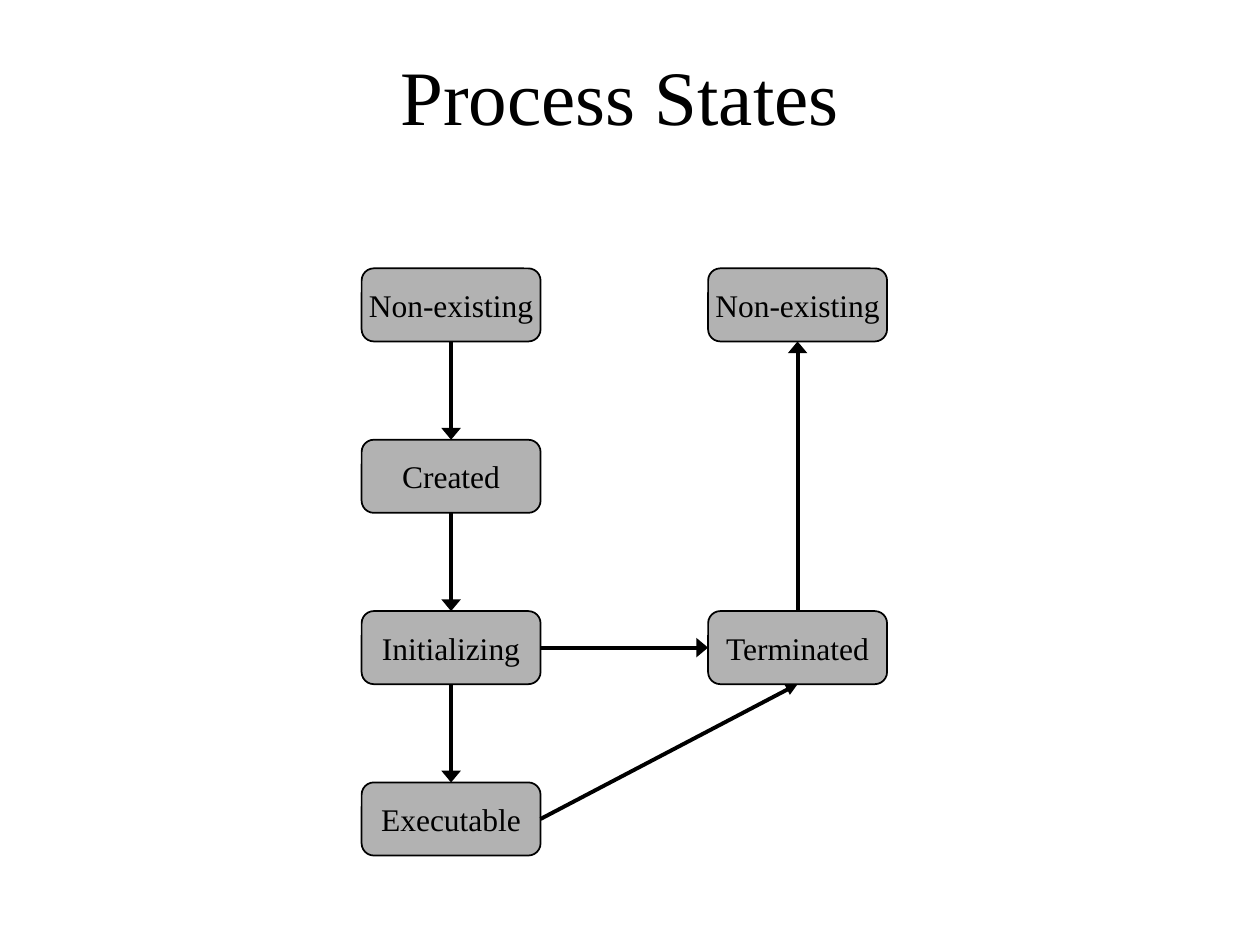
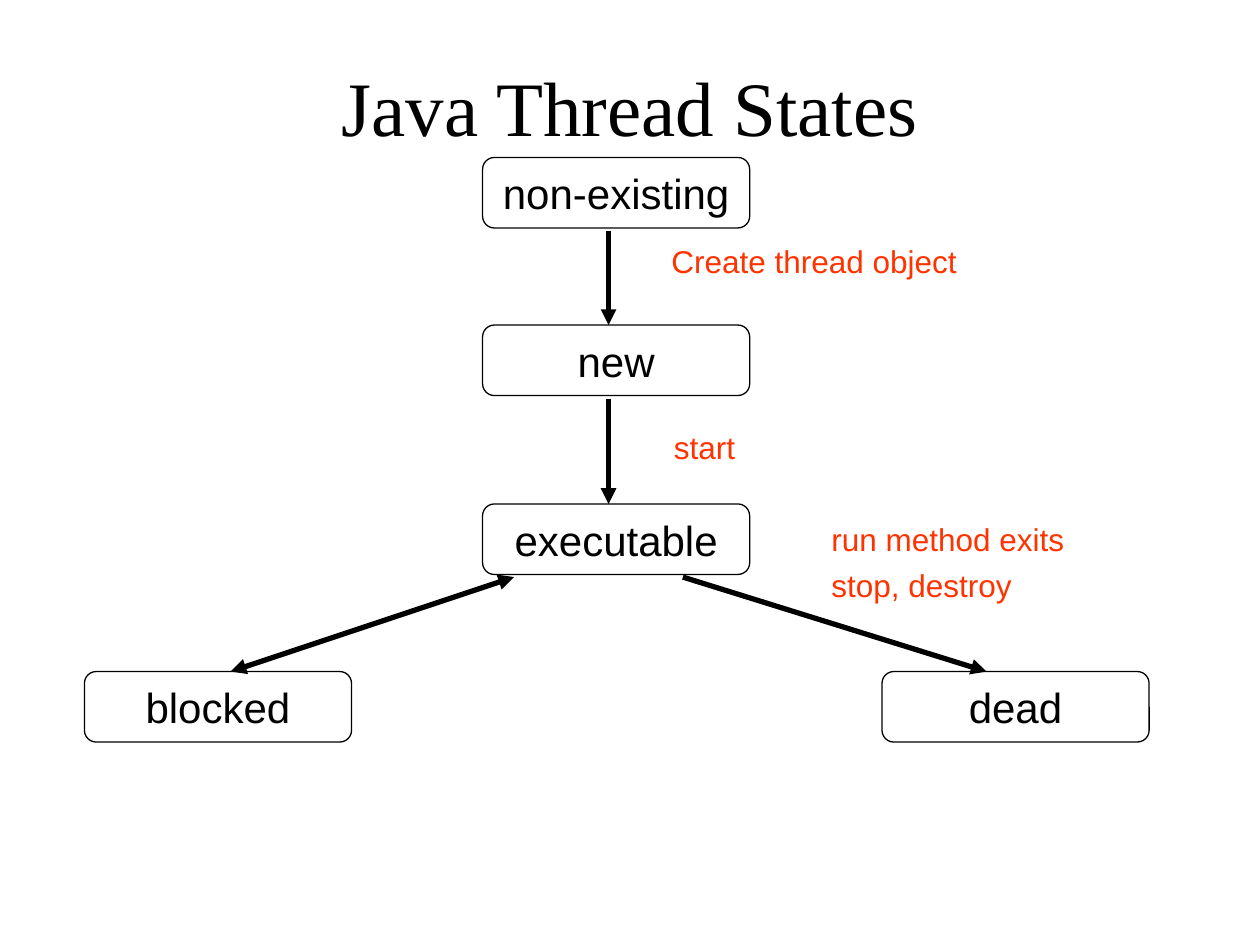
import pptx
import pptx.util
import pptx.dml.color
import pptx.enum.shapes
import pptx.enum.text
import pptx.oxml.ns
from lxml import etree

Inches = pptx.util.Inches
Pt = pptx.util.Pt
ALIGN = pptx.enum.text.PP_ALIGN
ANCHOR = pptx.enum.text.MSO_ANCHOR
GROW = pptx.enum.text.MSO_AUTO_SIZE.SHAPE_TO_FIT_TEXT
SHAPE = pptx.enum.shapes.MSO_SHAPE
STRAIGHT = pptx.enum.shapes.MSO_CONNECTOR.STRAIGHT

HUES = {"ink": "000000", "page": "FFFFFF", "gray": "B2B2B2", "note": "FF3300"}
SERIF, SANS = "Times New Roman", "Arial"
TOP, LEFT, BOTTOM, RIGHT = range(4)

STYLES = {
    "title": {"size": Pt(44), "name": SERIF, "hue": "ink"},
    "process": {"size": Pt(18), "name": SERIF, "hue": "ink"},
    "thread": {"size": Pt(24), "name": SANS, "hue": "ink"},
    "note": {"size": Pt(18), "name": SANS, "hue": "note"},
}
BOXES = {
    "process": {"size": (1.42, 0.58), "fill": "gray", "line": 1, "wrap": False},
    "thread": {"size": (2.12, 0.56), "fill": None, "line": 0.75, "wrap": True},
}


def color(hue):
    return pptx.dml.color.RGBColor.from_string(HUES[hue])


def assign(target, values):
    for key, value in values.items():
        if key == "hue":
            target.color.rgb = color(value)
        else:
            setattr(target, key, value)


def write(shape, lines, style, align, anchor, wrap, gap=0):
    frame = shape.text_frame
    assign(frame, {"word_wrap": wrap, "vertical_anchor": anchor})
    for index, line in enumerate(lines):
        para = frame.add_paragraph() if index else frame.paragraphs[0]
        para.alignment = align
        if index:
            para.space_before = Pt(gap)
        run = para.add_run()
        run.text = line
        assign(run.font, STYLES[style])


def add_page(deck, title, left, top):
    page = deck.slides.add_slide(deck.slide_layouts[6])
    page.background.fill.solid()
    page.background.fill.fore_color.rgb = color("page")
    box = page.shapes.add_textbox(Inches(left), Inches(top), Inches(8.5), Inches(1.25))
    write(box, [title], "title", ALIGN.CENTER, ANCHOR.MIDDLE, True)
    return page


def add_state(page, text, left, top, kind):
    look = BOXES[kind]
    width, height = look["size"]
    box = page.shapes.add_shape(SHAPE.ROUNDED_RECTANGLE, Inches(left), Inches(top),
                                Inches(width), Inches(height))
    box.shadow.inherit = False
    if look["fill"]:
        box.fill.solid()
        box.fill.fore_color.rgb = color(look["fill"])
    else:
        box.fill.background()
    assign(box.line, {"width": Pt(look["line"]), "hue": "ink"})
    write(box, [text], kind, ALIGN.CENTER, ANCHOR.MIDDLE, look["wrap"])
    return box


def add_note(page, lines, left, top, width, height):
    box = page.shapes.add_textbox(Inches(left), Inches(top), Inches(width), Inches(height))
    write(box, lines, "note", ALIGN.LEFT, ANCHOR.TOP, False, 4.5)
    box.text_frame.auto_size = GROW


def add_arrow(page, start, end, width=3, ends=("tailEnd",), head="med"):
    arrow = page.shapes.add_connector(STRAIGHT, *map(Inches, start + end))
    assign(arrow.line, {"width": Pt(width), "hue": "ink"})
    line = arrow.line._get_or_add_ln()
    for tag in ends:
        etree.SubElement(line, pptx.oxml.ns.qn("a:" + tag), type="triangle", w=head)
    etree.SubElement(arrow._element.spPr, pptx.oxml.ns.qn("a:effectLst"))
    return arrow


def link(page, source, side, target, goal, head="lg"):
    arrow = add_arrow(page, (0, 0), (0, 0), 2.25, head=head)
    arrow.begin_connect(source, side)
    arrow.end_connect(target, goal)


def draw_process(deck):
    page = add_page(deck, "Process States", 0.67, 0.13)
    first, step, near, far = 2.13, 1.36, 2.87, 5.62
    names = ["Non-existing", "Created", "Initializing", "Executable"]
    chain = [add_state(page, name, near, first + row * step, "process")
             for row, name in enumerate(names)]
    gone = add_state(page, "Non-existing", far, first, "process")
    ended = add_state(page, "Terminated", far, first + 2 * step, "process")
    for upper, lower in zip(chain, chain[1:]):
        link(page, upper, BOTTOM, lower, TOP)
    link(page, chain[2], RIGHT, ended, LEFT)
    link(page, chain[3], RIGHT, ended, BOTTOM, "med")
    link(page, ended, TOP, gone, BOTTOM)


def draw_thread(deck):
    page = add_page(deck, "Java Thread States", 0.75, 0.21)
    states = [("non-existing", 3.83, 1.25), ("new", 3.83, 2.58),
              ("executable", 3.83, 4), ("blocked", 0.67, 5.33), ("dead", 7, 5.33)]
    for text, left, top in states:
        add_state(page, text, left, top, "thread")
    add_arrow(page, (4.83, 1.83), (4.83, 2.58))
    add_arrow(page, (4.83, 3.17), (4.83, 4))
    add_arrow(page, (4.08, 4.58), (1.83, 5.33), ends=("headEnd", "tailEnd"))
    add_arrow(page, (5.42, 4.58), (7.83, 5.33))
    add_note(page, ["Create thread object"], 5.23, 1.87, 2.53, 0.4)
    add_note(page, ["start"], 5.25, 3.35, 0.72, 0.4)
    add_note(page, ["run method exits", "stop, destroy"], 6.5, 4.08, 2.05, 0.77)


def main():
    deck = pptx.Presentation()
    assign(deck, {"slide_width": Inches(10), "slide_height": Inches(7.5)})
    draw_process(deck)
    draw_thread(deck)
    deck.save("out.pptx")


if __name__ == "__main__":
    main()
